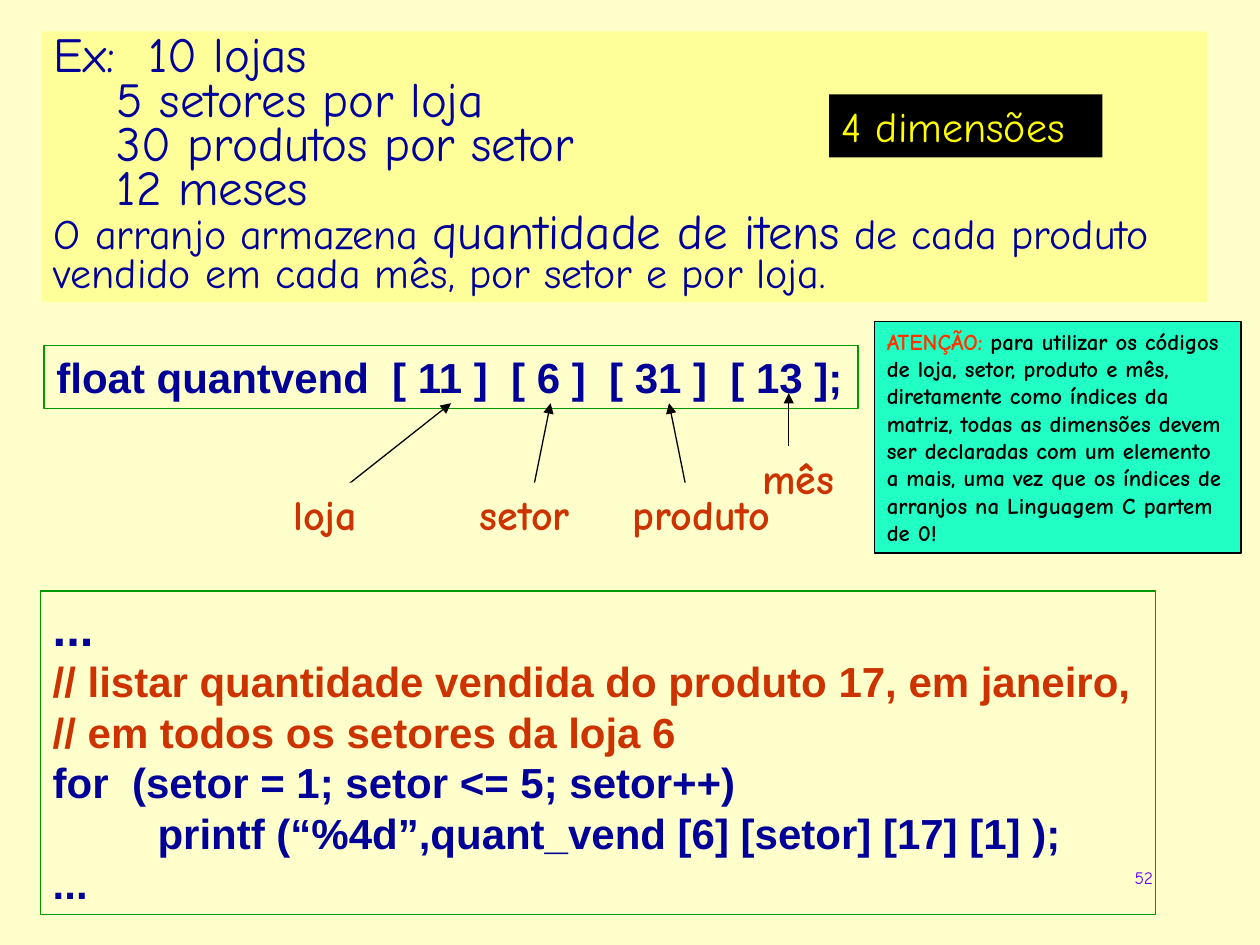
from lxml.etree import SubElement
from pptx import Presentation
from pptx.dml.color import RGBColor
from pptx.enum.shapes import MSO_CONNECTOR as Conn, MSO_SHAPE as Kind
from pptx.enum.text import MSO_ANCHOR as Anchor, MSO_AUTO_SIZE as Auto, PP_ALIGN as Align
from pptx.oxml.ns import qn
from pptx.util import Pt

PX = 9144  # 100 px to the inch
COMIC, ARIAL = "Comic Neue", "Arial"
NAVY, RUST, BLACK, GREEN, CREAM = "000099", "CC3300", "000000", "009900", "FFFFCC"

# Content: a paragraph is a list of runs, a run is (text, format changes)
BIG, MID = dict(size=28), dict(size=24)
TASK = [
    [("Ex:  10 lojas", BIG)],
    [("\t5 setores por loja", BIG)],
    [("\t30 produtos por setor", BIG)],
    [("\t12 meses", BIG)],
    [("O arranjo armazena ", MID), ("quantidade de itens", BIG),
     (" de cada produto vendido em cada mês, por setor e por loja.", MID)],
]
ARRAY = [[("float quantvend  [ 11 ]  [ 6 ]  [ 31 ]  [ 13 ];", {})]]
NOTE = [[
    ("ATENÇÃO:", dict(color="FF3300")),
    (" para utilizar os códigos de loja, setor, produto e mês, diretamente "
     "como índices da matriz, todas as dimensões devem ser declaradas com um "
     "elemento a mais, uma vez que os índices de arranjos na Linguagem C "
     "partem de 0!", {}),
]]
CODE = [
    [("...", BIG)],
    [("// listar quantidade vendida do produto 17, em janeiro,", dict(color=RUST))],
    [("// em todos os setores da loja 6", dict(color=RUST))],
    [("for  (setor = 1; setor <= 5; setor++)", {})],
    [("         printf (“%4d”,quant_vend [6] [setor] [17] [1] );", {})],
    [("...", {})],
]
# Index name, label (left, top, width), arrow (x1, y1, x2, y2)
INDEX = [
    ("loja", (223, 383, 71), (263, 395, 358, 320)),
    ("setor", (371, 383, 92), (421, 399, 437, 320)),
    ("produto", (492, 383, 131), (547, 399, 531, 320)),
    ("mês", (595, 354, 77), (626, 367, 626, 312)),
]

deck = Presentation()
deck.slide_width, deck.slide_height = 1000 * PX, 750 * PX
slide = deck.slides.add_slide(deck.slide_layouts[6])


def rgb(code):
    return RGBColor.from_string(code)


def write(frame, paras, size=24, font=COMIC, color=NAVY, bold=False,
          space=None, align=Align.LEFT, wrap=True, auto=Auto.SHAPE_TO_FIT_TEXT):
    frame.word_wrap, frame.auto_size = wrap, auto
    frame.vertical_anchor = Anchor.TOP
    for i, runs in enumerate(paras):
        para = frame.paragraphs[0] if i == 0 else frame.add_paragraph()
        para.alignment = align
        if space:
            para.line_spacing = space
        for text, diff in runs:
            run = para.add_run()
            run.text = text
            run.font.name, run.font.bold = font, bold
            run.font.size = Pt(diff.get("size", size))
            run.font.color.rgb = rgb(diff.get("color", color))


def box(place, fill, paras, edge=None, **form):
    shape = slide.shapes.add_shape(Kind.RECTANGLE, *(n * PX for n in place))
    shape.shadow.inherit = False
    shape.fill.solid()
    shape.fill.fore_color.rgb = rgb(fill)
    if edge:
        shape.line.color.rgb = rgb(edge)
        shape.line.width = Pt(0.75)
    else:
        shape.line.fill.background()
    write(shape.text_frame, paras, **form)


def arrow(ends):
    line = slide.shapes.add_connector(Conn.STRAIGHT, *(n * PX for n in ends))
    line.line.color.rgb = rgb(BLACK)
    line.line.width = Pt(0.75)
    SubElement(line.line._get_or_add_ln(), qn("a:tailEnd"), type="triangle")
    SubElement(line._element.spPr, qn("a:effectLst"))


# Background and task
slide.background.fill.solid()
slide.background.fill.fore_color.rgb = rgb(CREAM)
box((33, 25, 925, 215), "FFFF99", TASK, space=0.75)

# Array declaration with its four indices
box((35, 274, 646, 50), CREAM, ARRAY, GREEN, font=ARIAL, bold=True, wrap=False)
for name, (left, top, width), ends in INDEX:
    arrow(ends)
    box((left, top, width, 50), CREAM, [[(name, {})]], color=RUST, bold=True, wrap=False)

# Code, dimension count and warning
box((32, 469, 885, 257), CREAM, CODE, GREEN, font=ARIAL, bold=True)
box((658, 75, 217, 50), BLACK, [[("4 dimensões", {})]], color="FFFF00")
box((694, 255, 291, 184), "21FFC5", NOTE, BLACK, size=13, color=BLACK, bold=True)

# Slide number
page = slide.shapes.add_textbox(*(n * PX for n in (717, 683, 208, 50)))
write(page.text_frame, [[("52", {})]], size=10, color="6600FF",
      align=Align.RIGHT, auto=Auto.NONE)

deck.save("out.pptx")
